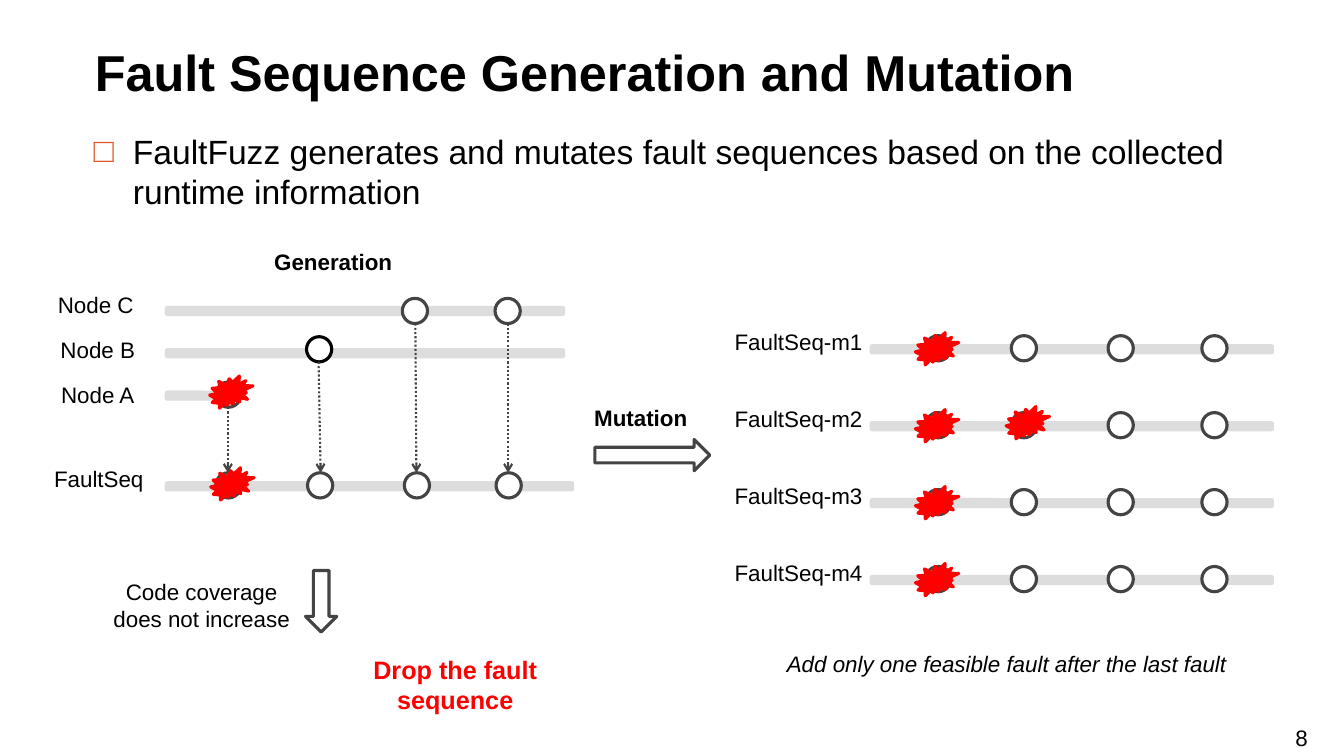
import pptx
import pptx.util
import pptx.dml.color
import pptx.enum.dml
import pptx.enum.shapes
import pptx.enum.text
import pptx.oxml
import lxml.etree
from pptx.oxml.ns import qn

Inches, Pt = pptx.util.Inches, pptx.util.Pt
SHAPE = pptx.enum.shapes.MSO_SHAPE
ALIGN = pptx.enum.text.PP_ALIGN
ANCHOR = pptx.enum.text.MSO_ANCHOR
COLORS = {"ink": "000000", "line": "444444", "bar": "DDDDDD",
          "fault": "FF0000", "paper": "FFFFFF", "bullet": "DF5327"}


def rgb(name):
    """Return the named colour."""
    return pptx.dml.color.RGBColor.from_string(COLORS[name])


def write(tf, text, size, color="ink", align=ALIGN.CENTER, bold=False, italic=False):
    """Write one run into the first paragraph of a text frame."""
    p = tf.paragraphs[0]
    p.alignment = align
    r = p.add_run()
    r.text = text
    r.font.name, r.font.size = "Arial", Pt(size)
    r.font.bold, r.font.italic = bold, italic
    r.font.color.rgb = rgb(color)
    return p


def add_text(shapes, x, y, w, h, text, size=16, anchor=ANCHOR.MIDDLE, **style):
    """Add a text box with one run."""
    tf = shapes.add_textbox(Inches(x), Inches(y), Inches(w), Inches(h)).text_frame
    tf.word_wrap = True
    tf.vertical_anchor = anchor
    return write(tf, text, size, **style)


def add_preset(shapes, kind, x, y, w, h, fill, line):
    """Add a flat preset shape with a 2.25 pt outline."""
    sp = shapes.add_shape(kind, Inches(x), Inches(y), Inches(w), Inches(h))
    sp.shadow.inherit = False
    sp.fill.solid()
    sp.fill.fore_color.rgb = rgb(fill)
    sp.line.color.rgb = rgb(line)
    sp.line.width = Pt(2.25)
    return sp


def add_dotted_arrow(shapes, x1, y1, x2, y2):
    """Add a dotted connector with an open arrowhead at its end."""
    line = shapes.add_connector(pptx.enum.shapes.MSO_CONNECTOR.STRAIGHT,
                                Inches(x1), Inches(y1), Inches(x2), Inches(y2))
    line.line.color.rgb = rgb("line")
    line.line.width = Pt(1.5)
    line.line.dash_style = pptx.enum.dml.MSO_LINE.ROUND_DOT
    ln = line.line._get_or_add_ln()
    lxml.etree.SubElement(ln, qn("a:tailEnd"), type="arrow")
    lxml.etree.SubElement(line._element.spPr, qn("a:effectLst"))


def add_lane(shapes, x, y, w, label, label_center, points, faults=(), rise=0.1, ring="line"):
    """Draw a labelled bar with its fault points and injected faults."""
    add_preset(shapes, SHAPE.ROUNDED_RECTANGLE, x, y, w, 0.07, "bar", "bar")
    for dx in points:
        add_preset(shapes, SHAPE.OVAL, x + dx, y - rise, 0.25, 0.25, "paper", ring)
    dx, dy = label_center
    add_text(shapes, x + dx - 0.75, y + dy - 0.2, 1.5, 0.4, label)
    for dx, dy in faults:
        add_preset(shapes, SHAPE.EXPLOSION2, x + dx, y + dy, 0.43, 0.32, "fault", "fault")


def add_heading(s, x, y, w, h):
    """Place the title and the bullet below it."""
    title = s.shapes.title
    title.left, title.top = Inches(x), Inches(y)
    title.width, title.height = Inches(w), Inches(0.73)
    tf = title.text_frame
    tf.auto_size = pptx.enum.text.MSO_AUTO_SIZE.NONE
    tf.vertical_anchor = ANCHOR.BOTTOM
    write(tf, "Fault Sequence Generation and Mutation", 36, align=ALIGN.LEFT, bold=True)
    p = add_text(s.shapes, x - 0.01, y + h - 1, w, 1,
                 "FaultFuzz generates and mutates fault sequences based on the "
                 "collected runtime information", 24, ANCHOR.TOP, align=ALIGN.LEFT)
    pPr = p._p.get_or_add_pPr()
    pPr.set("marL", str(Inches(0.39)))
    pPr.set("indent", str(-Inches(0.39)))
    color = lxml.etree.SubElement(pPr, qn("a:buClr"))
    lxml.etree.SubElement(color, qn("a:srgbClr"), val=COLORS["bullet"])
    lxml.etree.SubElement(pPr, qn("a:buFont"), typeface="Arial")
    lxml.etree.SubElement(pPr, qn("a:buChar"), char="□")


def add_generation(s, x, y, w):
    """Draw the node lanes and the fault sequence they generate."""
    add_text(s.shapes, x + 0.94, y, 1.43, 0.37, "Generation", bold=True)
    add_lane(s.shapes, x, y + 2.38, w, "FaultSeq", (-0.67, -0.04),
             (0.49, 1.4, 2.36, 3.27), [(0.44, -0.15)])
    add_lane(s.shapes, x, y + 1.48, 0.74, "Node A", (-0.68, 0.02),
             [0.49], [(0.43, -0.16)])
    add_lane(s.shapes, x, y + 1.06, 3.94, "Node B", (-0.68, 0),
             [1.39], rise=0.13, ring="ink")
    add_lane(s.shapes, x, y + 0.64, 3.94, "Node C", (-0.7, -0.03),
             (2.34, 3.26), rise=0.09)
    for top_x, top_y, end_x in ((0.61, 1.63, 0.61), (1.51, 1.18, 1.53),
                                (2.47, 0.8, 2.48), (3.39, 0.8, 3.39)):
        add_dotted_arrow(s.shapes, x + top_x, y + top_y, x + end_x, y + 2.28)


def add_drop(s, x, y):
    """Show that a sequence without new coverage is dropped."""
    add_text(s.shapes, x, y, 1.98, 0.5, "Code coverage does not increase")
    arrow = add_preset(s.shapes, SHAPE.RIGHT_ARROW, x + 1.87, y + 0.06, 0.61, 0.31,
                       "paper", "line")
    arrow.rotation = 90
    add_text(s.shapes, x + 2.05, y + 0.69, 2.91, 0.71, "Drop the fault sequence", 18,
             ANCHOR.TOP, color="fault", bold=True)


def add_mutation_arrow(s, x, y):
    """Draw the labelled arrow to the mutated sequences."""
    add_text(s.shapes, x, y, 1.23, 0.37, "Mutation", bold=True)
    add_preset(s.shapes, SHAPE.RIGHT_ARROW, x + 0.16, y + 0.4, 1.14, 0.31, "paper", "line")


def add_mutants(s, x, y, w, h):
    """Draw four evenly spaced mutated sequences and their caption."""
    first, second = (0.44, -0.13), (1.34, -0.16)
    for i, faults in enumerate(([first], [first, second], [first], [first])):
        group = s.shapes.add_group_shape()
        add_lane(group.shapes, x, y + i * h / 3, w, f"FaultSeq-m{i + 1}",
                 (-0.72, -0.04), (0.54, 1.39, 2.35, 3.28), faults)
    add_text(s.shapes, x - 1.11, y + h + 0.57, 4.91, 0.58,
             "Add only one feasible fault after the last fault", italic=True)


def main():
    """Build and save the slide."""
    prs = pptx.Presentation()
    prs.slide_width, prs.slide_height = Inches(13.33), Inches(7.5)
    s = prs.slides.add_slide(prs.slide_layouts[5])
    add_heading(s, 0.84, 0.33, 11.67, 1.92)
    add_generation(s, 1.65, 2.41, 4.03)
    add_drop(s, 1.01, 5.75)
    add_mutation_arrow(s, 5.74, 3.96)
    add_mutants(s, 8.64, 3.43, 3.98, 2.29)
    add_text(s.shapes, 12.49, 7.13, 0.84, 0.35, "8", anchor=ANCHOR.TOP)
    prs.save("out.pptx")


if __name__ == "__main__":
    main()
